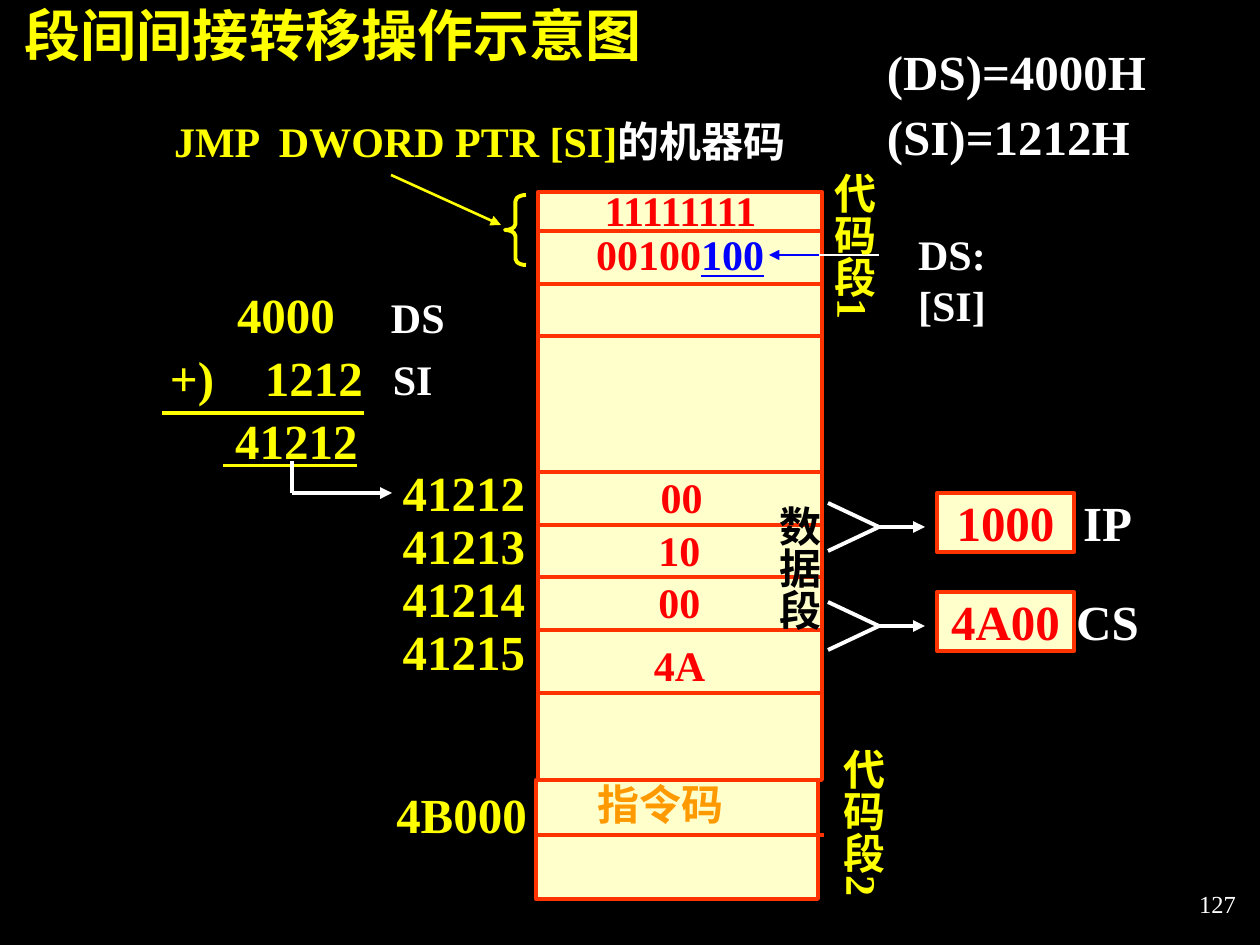
from lxml import etree
from pptx import Presentation
from pptx.dml.color import RGBColor
from pptx.enum.shapes import MSO_CONNECTOR, MSO_SHAPE
from pptx.enum.text import MSO_ANCHOR, MSO_AUTO_SIZE, PP_ALIGN
from pptx.oxml.ns import qn
from pptx.util import Pt

PX = 914400 / 126
RECT, BRACE = MSO_SHAPE.RECTANGLE, MSO_SHAPE.LEFT_BRACE
STRAIGHT = MSO_CONNECTOR.STRAIGHT
LEFT, MID, RIGHT = PP_ALIGN.LEFT, PP_ALIGN.CENTER, PP_ALIGN.RIGHT
TOP, MIDDLE = MSO_ANCHOR.TOP, MSO_ANCHOR.MIDDLE
GROW, FIXED = MSO_AUTO_SIZE.SHAPE_TO_FIT_TEXT, MSO_AUTO_SIZE.NONE
HEX = {"black": "000000", "white": "FFFFFF", "yellow": "FFFF00",
       "red": "FF0000", "blue": "0000FF", "orange": "FF9900",
       "cream": "FFFFCC", "edge": "FF3300"}
RGB = {name: RGBColor.from_string(code) for name, code in HEX.items()}

deck = Presentation()
deck.slide_width, deck.slide_height = round(1260 * PX), round(945 * PX)
slide = deck.slides.add_slide(deck.slide_layouts[6])
slide.background.fill.solid()
slide.background.fill.fore_color.rgb = RGB["black"]
shapes = slide.shapes


def write(text, x, y, w, h, size=24, color="yellow", align=LEFT, space=None,
          before=0, pad=(0, 0), bold=True, under=False, more=None,
          down=False, anchor=TOP, wrap=True, fit=GROW, box=None):
    """Put text in a new text box, or in the given shape; more is a second run."""
    box = box or shapes.add_textbox(*(round(v * PX) for v in (x, y, w, h)))
    frame = box.text_frame
    frame.word_wrap, frame.auto_size, frame.vertical_anchor = wrap, fit, anchor
    frame.margin_left = frame.margin_right = round(pad[0] * PX)
    frame.margin_top = frame.margin_bottom = round(pad[1] * PX)
    if down:
        frame._txBody.bodyPr.set("vert", "eaVert")
    for i, part in enumerate(text.split("\n")):
        para = frame.add_paragraph() if i else frame.paragraphs[0]
        para.alignment, para.line_spacing = align, space
        para.space_before = Pt(before)
        runs = [(part, color, under)] + ([more] if more else [])
        for words, tint, line in runs:
            run = para.add_run()
            run.text = words
            font = run.font
            font.name, font.size, font.bold = "Times New Roman", Pt(size), bold
            font.color.rgb = RGB[tint]
            if line:
                font.underline = True


def draw(x1, y1, x2, y2, color="white", width=2.25, arrow=False):
    """Draw a straight line, with an arrowhead at its end if asked."""
    line = shapes.add_connector(STRAIGHT, *(round(v * PX) for v in (x1, y1, x2, y2)))
    line.line.color.rgb = RGB[color]
    line.line.width = Pt(width)
    if arrow:
        etree.SubElement(line.line._get_or_add_ln(), qn("a:tailEnd"), type="triangle")
    etree.SubElement(line._element.spPr, qn("a:effectLst"))


# Boxes: memory, lower code segment, IP and CS registers
boxes = []
for area in ((538, 192, 284, 588), (536, 780, 282, 119),
             (937, 493, 137, 59), (937, 592, 137, 59)):
    box = shapes.add_shape(RECT, *(round(v * PX) for v in area))
    box.shadow.inherit = False
    box.fill.solid()
    box.fill.fore_color.rgb = RGB["cream"]
    box.line.color.rgb = RGB["edge"]
    box.line.width = Pt(2.25)
    boxes.append(box)

# Memory rows
for y in (231, 284, 336, 472, 525, 577, 630, 693):
    draw(538, y, 822, y, color="edge")
draw(536, 835, 824, 835, color="edge")

# Memory contents and addresses
for value, x, y in (("00", 654, 472), ("10", 652, 525), ("00", 652, 577), ("4A", 652, 640)):
    write(value, x, y, 55, 50, color="red", align=MID)
write("11111111", 591, 185, 179, 50, color="red", align=MID)
write("00100", 571, 229, 218, 50, color="red", align=MID, more=("100", "blue", True))
write("指令码", 576, 765, 169, 71, color="orange", align=MID, space=1.15, pad=(13, 6))
write("41212\n41213\n41214\n41215", 392, 469, 133, 212, size=28, align=RIGHT, space=0.9)
write("4B000", 377, 770, 169, 81, size=28, align=MID, space=1.15, pad=(13, 6))

# Title and instruction
write("段间间接转移操作示意图", 25, 0, 645, 67, size=32)
write("JMP  DWORD PTR [SI]", 174, 116, 635, 50, more=("的机器码", "white", False))
draw(391, 175, 501, 225, color="yellow", width=1.5, arrow=True)
brace = shapes.add_shape(BRACE, *(round(v * PX) for v in (505, 195, 21, 70)))
brace.shadow.inherit = False
brace.adjustments[0] = 0.29
brace.fill.background()
brace.line.color.rgb = RGB["yellow"]
brace.line.width = Pt(2.25)

# Operand and register values
draw(819, 255, 769, 255, color="blue", width=1.5, arrow=True)
draw(819, 255, 879, 255, width=1)
write("DS:[SI]", 888, 229, 128, 101, color="white", align=MID)
write("(DS)=4000H\n(SI)=1212H", 874, 42, 354, 131, size=28, color="white",
      space=0.9, before=7, pad=(13, 6))

# Segment names, set downwards
for name, x, y, color in (("代码段1", 810, 160, "yellow"), ("代码段2", 819, 736, "yellow"),
                          ("数据段", 755, 493, "black")):
    write(name, x, y, 83, 194, color=color, align=MID, space=1.15, pad=(6, 13), down=True)

# Address sum
for digits, x, y, w in (("4000", 237, 285, 106), ("1212", 265, 348, 147), ("+)", 170, 348, 73)):
    write(digits, x, y, w, 59, size=28)
write(" 41212", 223, 411, 189, 59, size=28, under=True)
write("DS", 391, 292, 60, 50, color="white")
write("SI", 393, 354, 49, 50, color="white")
draw(162, 413, 364, 413, color="yellow")
draw(292, 461, 292, 493)
draw(292, 493, 392, 493, arrow=True)

# Word pairs loaded into IP and CS
for value, name, y, box in (("1000", "IP", 493, boxes[2]), ("4A00", "CS", 592, boxes[3])):
    write(value, 0, 0, 0, 0, size=28, color="red", align=MID, box=box)
    write(name, 1071, y, 73, 59, size=28, color="white", align=MID)
    draw(828, y + 10, 879, y + 34)
    draw(828, y + 58, 879, y + 34)
    draw(876, y + 34, 925, y + 34, arrow=True)

# Page number
write("127", 987, 872, 262, 63, size=14, color="white", align=RIGHT, pad=(13, 6),
      bold=False, anchor=MIDDLE, wrap=False, fit=FIXED)

deck.save("out.pptx")
